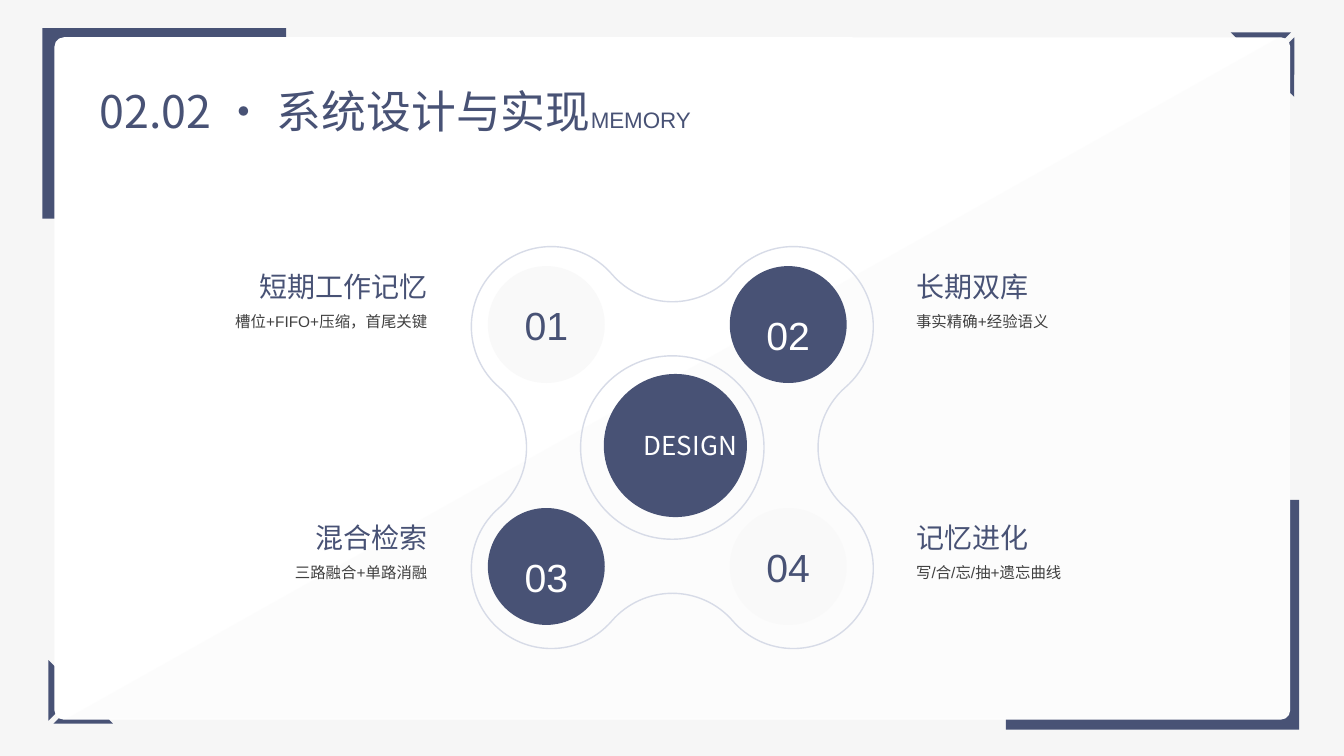
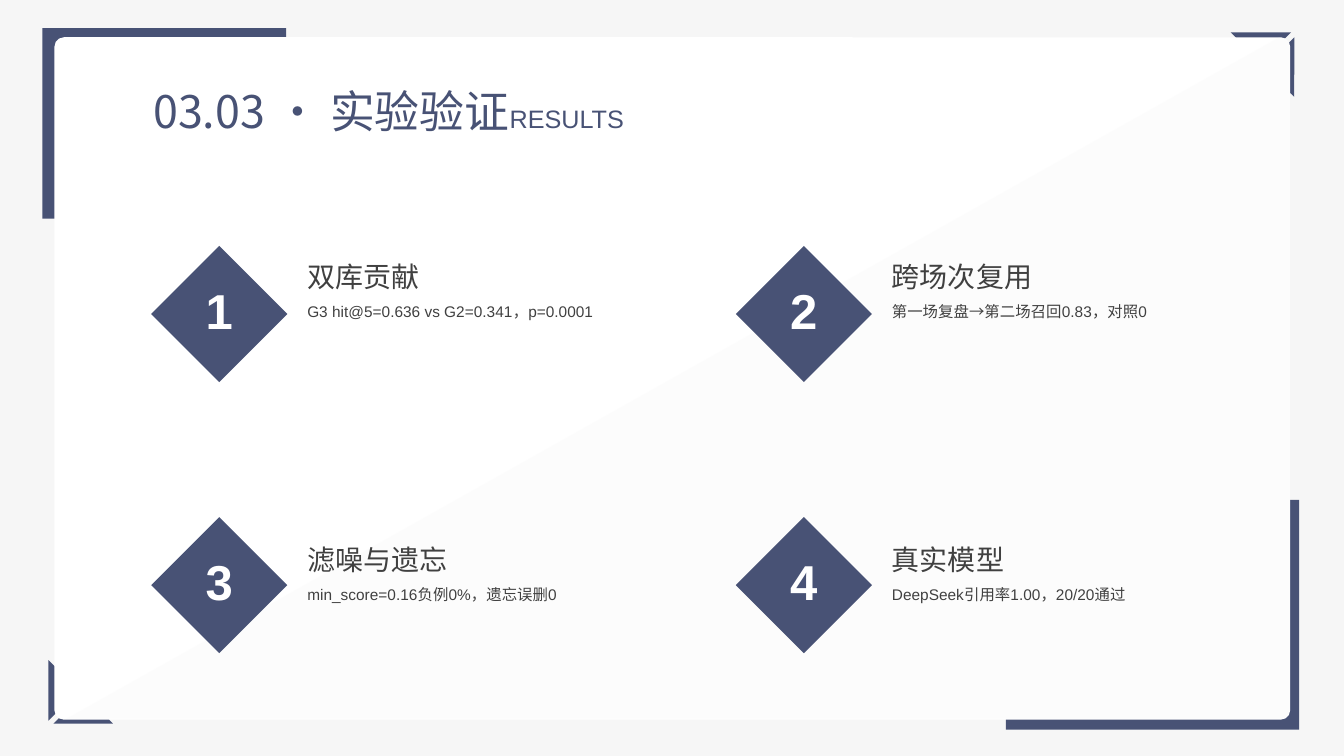
from itertools import islice
from math import atan2, cos, degrees, hypot, radians, sin, tan

from lxml import etree
from pptx import Presentation
from pptx.dml.color import RGBColor
from pptx.enum.shapes import MSO_SHAPE as Shape
from pptx.enum.text import MSO_ANCHOR as Anchor, PP_ALIGN as Align
from pptx.oxml.ns import qn
from pptx.util import Inches, Pt

NAVY = RGBColor(0x48, 0x52, 0x75)
WHITE = RGBColor(0xFF, 0xFF, 0xFF)
PAGE_GRAY = RGBColor(0xF6, 0xF6, 0xF6)
PANEL_GRAY = RGBColor(0xF2, 0xF2, 0xF2)
PALE = RGBColor(0xF9, 0xF9, 0xF9)
OUTLINE = RGBColor(0xD7, 0xDB, 0xE7)
DARK = RGBColor(0x40, 0x40, 0x40)
LATIN, CJK = "Arial", "Noto Sans CJK SC"

SLIDE_W, SLIDE_H = 40 / 3, 7.5
HUB_X, HUB_Y, HUB_RADIUS = 6.67, 4.44, 0.91
LOBE, WAIST = 1.2, 2.24

MEMORY_CARDS = [
    ("短期工作记忆", "槽位+FIFO+压缩，首尾关键"),
    ("长期双库", "事实精确+经验语义"),
    ("混合检索", "三路融合+单路消融"),
    ("记忆进化", "写/合/忘/抽+遗忘曲线"),
]
RESULT_CARDS = [
    ("双库贡献", "G3 hit@5=0.636 vs G2=0.341，p=0.0001"),
    ("跨场次复用", "第一场复盘→第二场召回0.83，对照0"),
    ("滤噪与遗忘", "min_score=0.16负例0%，遗忘误删0"),
    ("真实模型", "DeepSeek引用率1.00，20/20通过"),
]


def style_shape(shape, fill=None, line=None):
    """Give a shape a flat fill and an optional thin line."""
    shape.shadow.inherit = False
    if fill is None:
        shape.fill.background()
    else:
        shape.fill.solid()
        shape.fill.fore_color.rgb = fill
    if line is None:
        shape.line.fill.background()
    else:
        shape.line.color.rgb = line
        shape.line.width = Pt(1)
    return shape


def add_preset(page, kind, left, top, width, height, fill):
    """Add a flat preset shape."""
    shape = page.shapes.add_shape(
        kind, Inches(left), Inches(top), Inches(width), Inches(height))
    return style_shape(shape, fill)


def turn(point, angle):
    """Rotate a point about the origin."""
    x, y = point
    c, s = cos(radians(angle)), sin(radians(angle))
    return x * c - y * s, x * s + y * c


def polar(x, y, radius, angle):
    """Find the point of a circle at an angle in degrees."""
    return x + radius * cos(radians(angle)), y + radius * sin(radians(angle))


def arc(x, y, radius, *angles):
    """List Bezier segments along a circle, one for each pair of angles."""
    segments = []
    for start, end in zip(angles, angles[1:]):
        pull = 4 / 3 * tan(radians(end - start) / 4) * radius
        (x1, y1), (x2, y2) = polar(x, y, radius, start), polar(x, y, radius, end)
        dx1, dy1 = polar(0, 0, pull, start + 90)
        dx2, dy2 = polar(0, 0, pull, end + 90)
        segments.append([(x1 + dx1, y1 + dy1), (x2 - dx2, y2 - dy2), (x2, y2)])
    return segments


def polygon(points):
    """List straight segments through points."""
    return [[point] for point in points]


def add_outline(page, contours, fill=None, line=None, angle=0):
    """Add closed contours of straight and curved segments, in a turned frame."""
    builder = None
    for contour in contours:
        points = [turn(point, -angle) for segment in contour for point in segment]
        corners = [(Inches(x), Inches(y)) for x, y in points]
        start = corners[-1]
        if builder is None:
            builder = page.shapes.build_freeform(*start)
        else:
            builder.move_to(*start)
        builder.add_line_segments(corners, close=True)
    shape = builder.convert_to_shape()
    steps = iter(shape.element.findall(".//" + qn("a:lnTo")))
    for segment in (segment for contour in contours for segment in contour):
        first, *others = islice(steps, len(segment))
        if others:
            first.tag = qn("a:cubicBezTo")
        for other in others:
            first.append(other[0])
            other.getparent().remove(other)
    middle = shape.left + shape.width / 2, shape.top + shape.height / 2
    x, y = turn(middle, angle)
    shape.left = round(x - shape.width / 2)
    shape.top = round(y - shape.height / 2)
    shape.rotation = angle
    return style_shape(shape, fill, line)


def add_span(para, text, size, color, font=LATIN, bold=False):
    """Add a formatted run to a paragraph."""
    span = para.add_run()
    span.text = text
    span.font.name = font
    span.font.size = Pt(size)
    span.font.color.rgb = color
    span.font.bold = bold
    east_asian = etree.SubElement(span.font._element, qn("a:ea"))
    east_asian.set("typeface", CJK)


def add_box(page, left, top, width, height, wrap=True):
    """Add a text box and return its text frame."""
    box = page.shapes.add_textbox(
        Inches(left), Inches(top), Inches(width), Inches(height))
    box.text_frame.word_wrap = wrap
    return box.text_frame


def add_card(page, left, top, width, height, card, color, spacing, align=Align.LEFT):
    """Add a heading with a line of detail below it."""
    frame = add_box(page, left, top, width, height)
    heading, detail = frame.paragraphs[0], frame.add_paragraph()
    heading.line_spacing, detail.line_spacing = spacing, 1.5
    heading.alignment = detail.alignment = align
    add_span(heading, card[0], 20, color)
    add_span(detail, card[1], 11, DARK)


def label_shape(shape, text, size, color, bold=False, anchor=Anchor.MIDDLE, spacing=1.0):
    """Write a centred label in a shape."""
    frame = shape.text_frame
    frame.vertical_anchor = anchor
    frame.word_wrap = True
    para = frame.paragraphs[0]
    para.alignment = Align.CENTER
    para.line_spacing = spacing
    add_span(para, text, size, color, bold=bold)


def set_title(page, text, tag, tag_size, width, align):
    """Place the title and its small English tag."""
    title = page.shapes.title
    title.left, title.top = Inches(0.89), Inches(0.78)
    title.width, title.height = Inches(width), Inches(0.64)
    frame = title.text_frame
    frame.word_wrap = False
    frame.vertical_anchor = Anchor.TOP
    para = frame.paragraphs[0]
    para.alignment = align
    add_span(para, text, 32, NAVY, CJK)
    add_span(para, tag, tag_size, NAVY)


def draw_frame(page):
    """Draw the corner bands and the white panel."""
    slivers = [
        [(0.63, 6.7), (0.63, 7), (0.48, 7.15), (0.48, 6.55)],
        [(1.12, 7.18), (0.53, 7.18), (0.68, 7.03), (0.98, 7.03)],
    ]
    opposite = [[(y + 5.66, x - 0.16) for x, y in points] for points in slivers]
    shapes = [
        add_preset(page, Shape.RECTANGLE, 0.42, 0.28, 2.42, 1.89, NAVY),
        add_preset(page, Shape.RECTANGLE, 9.98, 4.96, 2.91, 2.28, NAVY),
    ]
    for corner in (slivers, opposite):
        shapes.append(add_outline(page, map_polygons(corner), NAVY, angle=135))
    panel = add_preset(page, Shape.ROUNDED_RECTANGLE, 0.54, 0.37, 12.26, 6.77, WHITE)
    panel.adjustments[0] = 0.014
    shade_edge = [
        *polygon([(12.69, 0.37), (12.71, 0.37)]),
        *arc(12.71, 0.46, 0.09, -90, 0),
        *polygon([(12.8, 7.04)]),
        *arc(12.71, 7.04, 0.09, 0, 90),
        *polygon([(0.66, 7.13)]),
    ]
    shade = add_outline(page, [shade_edge], PANEL_GRAY, angle=270)
    color = shade.element.spPr.find(qn("a:solidFill"))[0]
    etree.SubElement(color, qn("a:alpha")).set("val", "16000")
    return shapes + [panel, shade]


def map_polygons(groups):
    """Turn groups of points into contours."""
    return [polygon(points) for points in groups]


def share_frame(layout, page):
    """Set the layout background and move the frame into the layout."""
    layout.background.fill.solid()
    layout.background.fill.fore_color.rgb = PAGE_GRAY
    for index, shape in enumerate(draw_frame(page), start=2):
        layout.shapes.element.insert(index, shape.element)


def add_clover(page):
    """Draw the four-lobed outline and the circle in its middle."""
    tilt = degrees(atan2(WAIST - LOBE, LOBE))
    radius = hypot(WAIST - LOBE, LOBE) / 2
    quarter = [
        *arc(LOBE, LOBE, radius, tilt - 90, 0, 90, 180 - tilt),
        *arc(0, WAIST, radius, -tilt, -90, tilt - 180),
    ]
    edge = []
    for angle in range(0, 360, 90):
        for segment in quarter:
            turned = [turn(point, angle) for point in segment]
            edge.append([(HUB_X + x, HUB_Y + y) for x, y in turned])
    ring = arc(HUB_X, HUB_Y, HUB_RADIUS, *range(0, 361, 90))
    add_outline(page, [edge, ring], line=OUTLINE)


def build_memory(page):
    """Build the slide on memory design."""
    set_title(page, "02.02 · 系统设计与实现", "MEMORY", 16, 6.33, Align.LEFT)
    add_clover(page)
    for index, card in enumerate(MEMORY_CARDS):
        row, column = divmod(index, 2)
        circle = add_preset(page, Shape.OVAL, 4.84 + 2.4 * column, 2.64 + 2.4 * row,
                            1.16, 1.16, PALE if row == column else NAVY)
        number = f"{index + 1:02}"
        if row == column:
            label_shape(circle, number, 28, NAVY)
        else:
            label_shape(circle, number, 28, WHITE, anchor=Anchor.TOP, spacing=1.5)
        add_card(page, (1.21, 8.99)[column], 2.46 + 2.49 * row, 3.13, 1.44, card,
                 NAVY, 1.5, (Align.RIGHT, Align.LEFT)[column])
    add_preset(page, Shape.OVAL, 5.99, 3.71, 1.42, 1.42, NAVY)
    para = add_box(page, 6, 4.21, 1.41, 0.41, wrap=False).paragraphs[0]
    para.alignment = Align.RIGHT
    add_span(para, "DESIGN", 18.6, WHITE, CJK)


def build_results(page):
    """Build the slide on experiment results."""
    set_title(page, "03.03 · 实验验证", "RESULTS", 18, 5.93, Align.CENTER)
    for index, card in enumerate(RESULT_CARDS):
        row, column = divmod(index, 2)
        left = 1.5 + 5.8 * column
        diamond = add_preset(page, Shape.DIAMOND, left, 2.44 + 2.69 * row, 1.35, 1.35, NAVY)
        label_shape(diamond, str(index + 1), 35, WHITE, bold=True, spacing=0.9)
        add_card(page, left + 1.45, 2.19 + 2.81 * row, 3.09, 1.61, card, DARK, 2.0)


def main():
    """Build and save the deck."""
    deck = Presentation()
    deck.slide_width, deck.slide_height = Inches(SLIDE_W), Inches(SLIDE_H)
    layout = deck.slide_layouts[5]
    memory, results = [deck.slides.add_slide(layout) for _ in range(2)]
    share_frame(layout, memory)
    build_memory(memory)
    build_results(results)
    deck.save("out.pptx")


if __name__ == "__main__":
    main()
